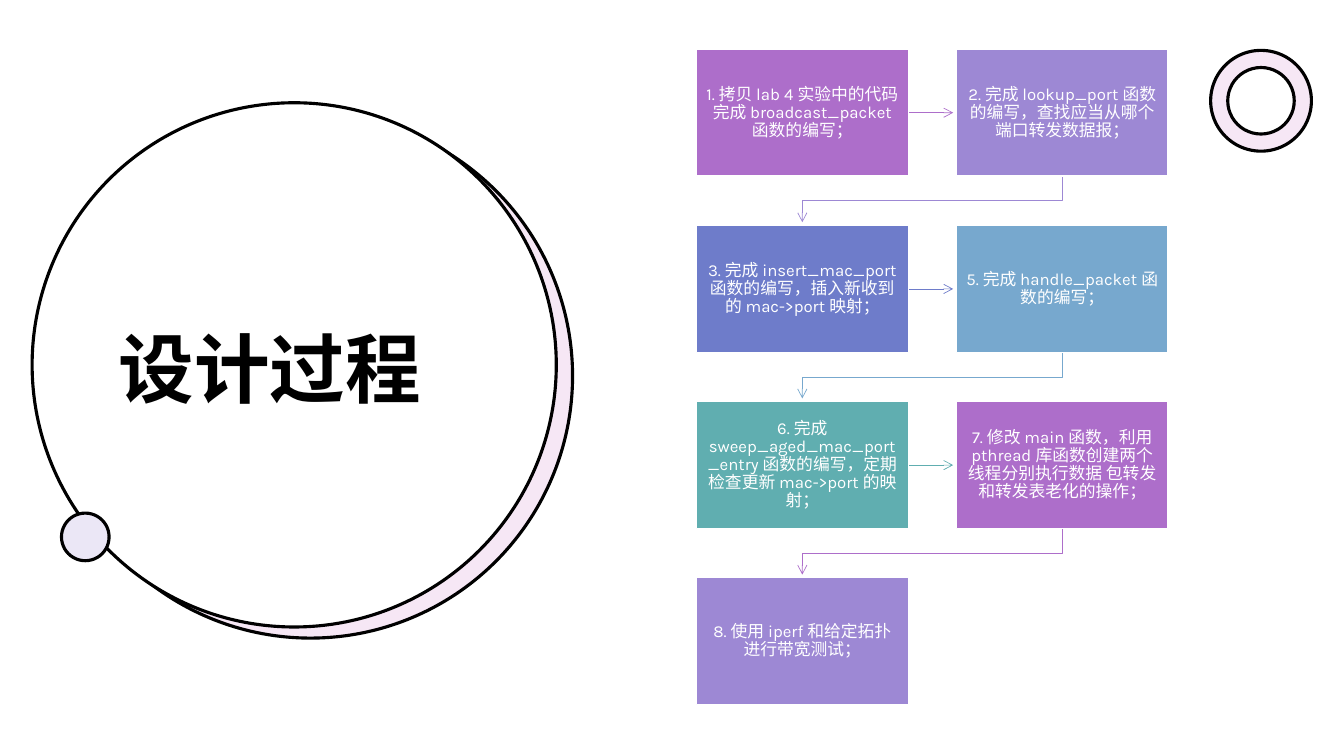
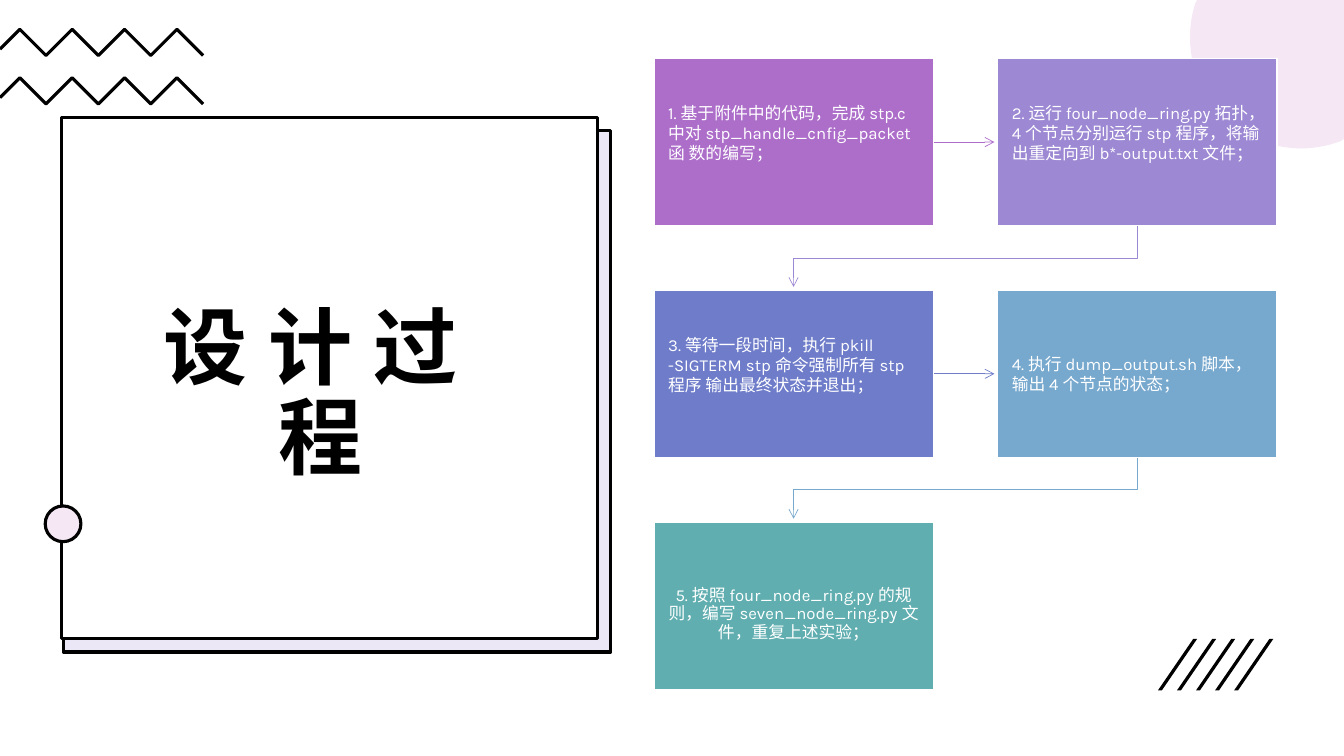
from math import cos, radians, sin

from lxml import etree
from pptx import Presentation
from pptx.dml.color import RGBColor
from pptx.enum.shapes import MSO_CONNECTOR, MSO_SHAPE
from pptx.enum.text import MSO_ANCHOR, PP_ALIGN
from pptx.oxml.ns import qn
from pptx.util import Cm, Pt

RECT = MSO_SHAPE.RECTANGLE
OVAL = MSO_SHAPE.OVAL
DONUT = MSO_SHAPE.DONUT
SLASH = MSO_SHAPE.PARALLELOGRAM
STRAIGHT = MSO_CONNECTOR.STRAIGHT
LEFT, CENTER = PP_ALIGN.LEFT, PP_ALIGN.CENTER
MIDDLE, BOTTOM = MSO_ANCHOR.MIDDLE, MSO_ANCHOR.BOTTOM

# Shared look
SLIDE_W, SLIDE_H = 33.87, 19.05
FONT = "Karla"
BLACK, WHITE = "000000", "FFFFFF"
PINK_TINT, LILAC_TINT = "F6E7F5", "EBE7F6"
STEP_COLORS = ["AD6ECA", "9D88D4", "6E7CCA", "77A8CE", "60AEB0"]
OUTLINE_PT = 2.25
ARROW_GAP = 0.08
HALF_LINE = 0.45

# Step text, with alignment, line spacing and vertical shift where they differ
SWITCH_STEPS = [
    ("1. 拷贝 lab 4 实验中的代码完成 broadcast_packet 函数的编写；",),
    ("2. 完成 lookup_port 函数的编写，查找应当从哪个端口转发数据报；",),
    ("3. 完成 insert_mac_port 函数的编写，插入新收到的 mac->port 映射；",),
    ("5. 完成 handle_packet 函数的编写；",),
    ("6. 完成 sweep_aged_mac_port_entry 函数的编写，定期检查更新 mac->port 的映射；",),
    ("7. 修改 main 函数，利用 pthread 库函数创建两个线程分别执行数据 包转发和转发表老化的操作；",),
    ("8. 使用 iperf 和给定拓扑进行带宽测试；",),
]
STP_STEPS = [
    ("1. 基于附件中的代码，完成 stp.c 中对 stp_handle_cnfig_packet 函 数的编写；",
     LEFT, 1.0, -HALF_LINE),
    ("2. 运行 four_node_ring.py 拓扑，4 个节点分别运行 stp 程序，将输 出重定向到 b*-output.txt 文件；",
     LEFT, 1.0, -HALF_LINE),
    ("3. 等待一段时间，执行 pkill -SIGTERM stp 命令强制所有 stp 程序 输出最终状态并退出；",
     LEFT, 1.0, -HALF_LINE),
    ("4. 执行 dump_output.sh 脚本，输出 4 个节点的状态；", LEFT, 1.0, 0),
    ("5. 按照 four_node_ring.py 的规则，编写 seven_node_ring.py 文 件，重复上述实验；",
     CENTER, 0.9, HALF_LINE),
]


def rgb(color):
    return RGBColor.from_string(color)


def paint(shape, fill=None, line=None, width=OUTLINE_PT):
    shape.shadow.inherit = False
    if fill:
        shape.fill.solid()
        shape.fill.fore_color.rgb = rgb(fill)
    else:
        shape.fill.background()
    if line:
        shape.line.color.rgb = rgb(line)
        shape.line.width = Pt(width)
    else:
        shape.line.fill.background()


def add_figure(slide, kind, box, fill, line=None, width=OUTLINE_PT):
    figure = slide.shapes.add_shape(kind, *map(Cm, box))
    paint(figure, fill, line, width)
    return figure


def add_outline(slide, points, closed=False, **style):
    start, *others = [(Cm(x), Cm(y)) for x, y in points]
    builder = slide.shapes.build_freeform(*start)
    builder.add_line_segments(others, close=closed)
    outline = builder.convert_to_shape()
    paint(outline, **style)
    return outline


def write(shape, text, size, color, align, spacing, anchor, bold=False):
    frame = shape.text_frame
    frame.word_wrap = True
    frame.vertical_anchor = anchor
    paragraph = frame.paragraphs[0]
    paragraph.alignment = align
    paragraph.line_spacing = spacing
    run = paragraph.add_run()
    run.text = text
    run.font.name = FONT
    run.font.size = Pt(size)
    run.font.bold = bold
    run.font.color.rgb = rgb(color)
    return run


def add_title(slide, box, size, align, anchor, tracking=0):
    title = slide.shapes.add_textbox(*map(Cm, box))
    run = write(title, "设计过程", size, BLACK, align, 0.9, anchor, bold=True)
    if tracking:
        run.font._element.set("spc", str(tracking * 100))


def add_arrowhead(line):
    etree.SubElement(line.line._get_or_add_ln(), qn("a:tailEnd"), type="arrow")


def add_straight_arrow(slide, x, y, end_x, color):
    arrow = slide.shapes.add_connector(STRAIGHT, Cm(x), Cm(y), Cm(end_x), Cm(y))
    arrow.line.color.rgb = rgb(color)
    arrow.line.width = Pt(0.5)
    add_arrowhead(arrow)
    etree.SubElement(arrow._element.spPr, qn("a:effectLst"))


def add_step(slide, box, color, inset, text, align=CENTER, spacing=0.9, shift=0):
    step = add_figure(slide, RECT, box, color, WHITE, 1)
    frame = step.text_frame
    side, end = inset
    frame.margin_left = frame.margin_right = Cm(side)
    frame.margin_top = Cm(end + max(shift, 0))
    frame.margin_bottom = Cm(end + max(-shift, 0))
    write(step, text, 12, WHITE, align, spacing, MIDDLE)


def add_flow(slide, steps, origin, size, pitch, inset):
    """Two-column flow, read row by row, with an arrow to each next step."""
    (left, top), (w, h), (pitch_x, pitch_y) = origin, size, pitch
    for i, step in enumerate(steps):
        row, column = divmod(i, 2)
        x, y = left + column * pitch_x, top + row * pitch_y
        color = STEP_COLORS[i % len(STEP_COLORS)]
        if i < len(steps) - 1:
            if column == 0:
                add_straight_arrow(slide, x + w, y + h / 2,
                                   x + pitch_x - ARROW_GAP, color)
            else:
                start_x, end_x = x + w / 2, left + w / 2
                bend_y = y + (h + pitch_y) / 2
                turn = add_outline(
                    slide,
                    [(start_x, y + h), (start_x, bend_y), (end_x, bend_y),
                     (end_x, y + pitch_y - ARROW_GAP)],
                    line=color, width=0.5)
                add_arrowhead(turn)
        add_step(slide, (x, y, w, h), color, inset, *step)


def add_zigzag(slide, top):
    peak_x, step, height = 0.5, 0.66, 0.66
    points = [(0, top + peak_x)]
    points += [(peak_x + i * step, top + i % 2 * height) for i in range(8)]
    add_outline(slide, points, line=BLACK)


def add_corner_disc(slide, center_x, center_y, radius):
    """Disc trimmed by the top and right edges of the slide."""
    angles = [radians(a) for a in range(0, 360, 3)]
    points = [(min(center_x + radius * cos(a), SLIDE_W),
               max(center_y + radius * sin(a), 0)) for a in angles]
    add_outline(slide, points, closed=True, fill=PINK_TINT)


def build_switch_slide(slide):
    # Title circle with its crescent and dot
    add_figure(slide, OVAL, (1.22, 2.87, 13.21, 13.21), PINK_TINT, BLACK)
    add_figure(slide, OVAL, (0.81, 2.59, 13.21, 13.21), WHITE, BLACK)
    add_figure(slide, OVAL, (1.55, 12.93, 1.2, 1.2), LILAC_TINT, BLACK)
    add_title(slide, (2.74, 4.7, 8.89, 9.42), 54, LEFT, MIDDLE)

    # Corner ring
    ring = add_figure(slide, DONUT, (30.51, 1.27, 2.54, 2.54), PINK_TINT, BLACK)
    ring.adjustments[0] = 0.17

    add_flow(slide, SWITCH_STEPS, origin=(17.55, 1.24), size=(5.34, 3.2),
             pitch=(6.55, 4.44), inset=(0.25, 0.28))


def build_stp_slide(slide):
    # Corner decoration
    for top in (0.74, 1.96):
        add_zigzag(slide, top)
    add_corner_disc(slide, 32.79, 0.94, 2.8)

    # Title panel with its backing and dot
    add_figure(slide, RECT, (1.6, 3.3, 13.79, 13.13), LILAC_TINT, BLACK)
    add_figure(slide, RECT, (1.55, 2.97, 13.51, 13.13), WHITE, BLACK)
    add_title(slide, (2.82, 3.23, 10.54, 9.17), 60, CENTER, BOTTOM, tracking=15)
    add_figure(slide, OVAL, (1.14, 12.75, 0.9, 0.9), PINK_TINT, BLACK)

    # Slanted strokes
    for i in range(5):
        stroke = add_figure(slide, SLASH, (29.18 + i * 0.48, 16.1, 0.99, 1.3), BLACK)
        stroke.adjustments[0] = 0.9

    add_flow(slide, STP_STEPS, origin=(16.48, 1.47), size=(7.04, 4.22),
             pitch=(8.66, 5.84), inset=(0.36, 0.36))


def main():
    deck = Presentation()
    deck.slide_width, deck.slide_height = Cm(SLIDE_W), Cm(SLIDE_H)
    blank = deck.slide_layouts[6]
    for build in (build_switch_slide, build_stp_slide):
        build(deck.slides.add_slide(blank))
    deck.save("out.pptx")


if __name__ == "__main__":
    main()
